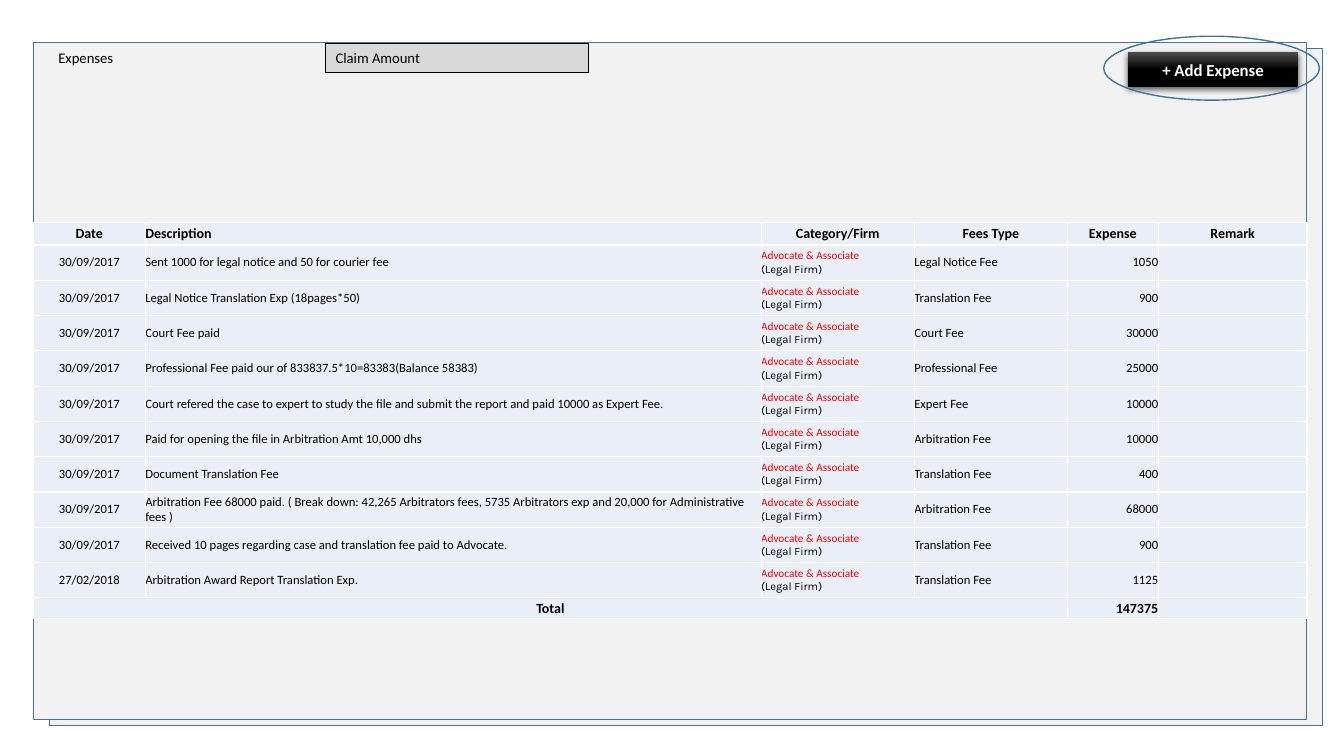
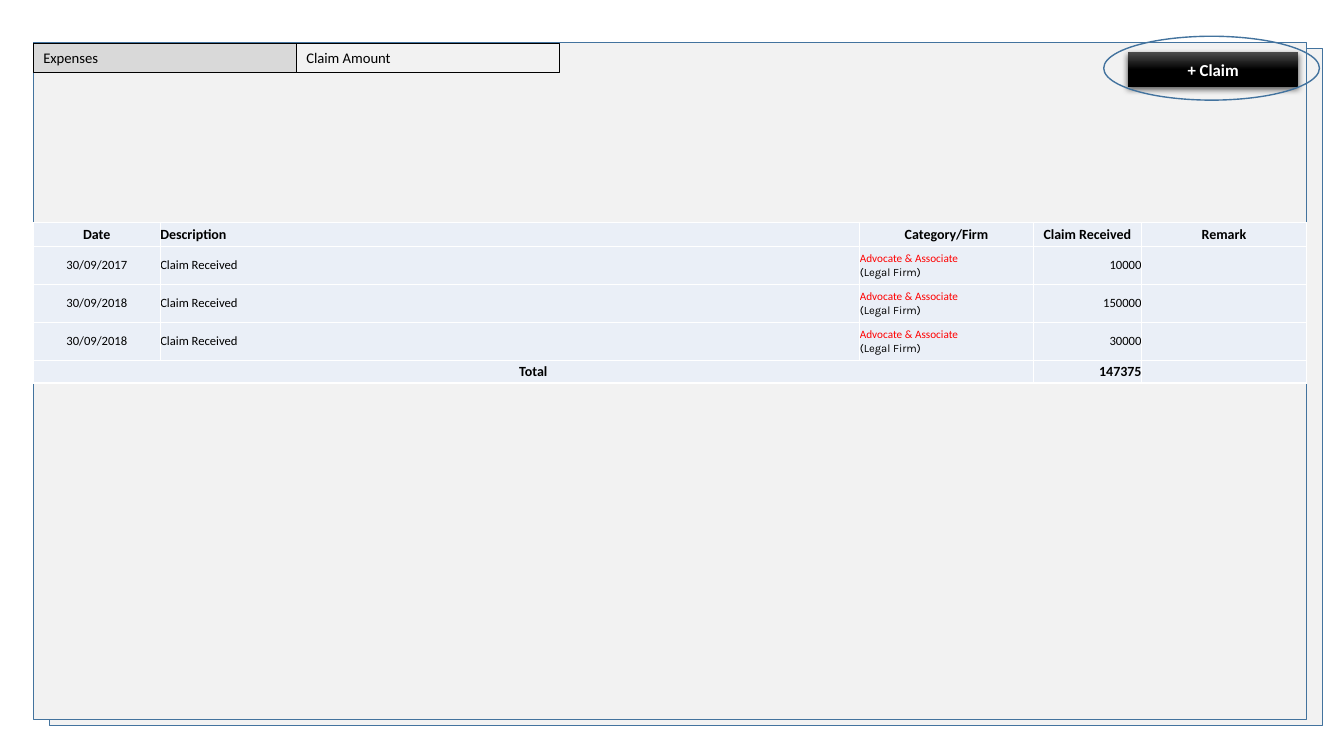
from dataclasses import dataclass

from lxml.etree import SubElement
from pptx import Presentation
from pptx.dml.color import RGBColor
from pptx.enum.shapes import MSO_SHAPE as Preset
from pptx.enum.text import MSO_ANCHOR as Anchor, PP_ALIGN as Align
from pptx.oxml import parse_xml
from pptx.oxml.ns import nsdecls, qn
from pptx.util import Pt

BLACK = RGBColor(0x00, 0x00, 0x00)
WHITE = RGBColor(0xFF, 0xFF, 0xFF)
RED = RGBColor(0xFF, 0x00, 0x00)
CHARCOAL = RGBColor(0x4B, 0x4B, 0x4B)
STEEL = RGBColor(0x43, 0x73, 0x9E)
PAPER = RGBColor(0xF2, 0xF2, 0xF2)
TAB_GREY = RGBColor(0xD9, 0xD9, 0xD9)
ICE = RGBColor(0xEA, 0xEF, 0xF7)


@dataclass
class Box:
    """A rectangle in points."""
    left: float
    top: float
    width: float
    height: float

    def inner(self, dx, dy, width, height):
        """Return a box offset from this one's corner."""
        return Box(self.left + dx, self.top + dy, width, height)

    def lengths(self):
        """Return the four lengths for a new shape."""
        return [Pt(n) for n in (self.left, self.top, self.width, self.height)]


PANEL = Box(23.8, 30.2, 909.4, 483.8)
TAB_WIDTH, TAB_HEIGHT = 187.9, 20.9
TABLE_DROP = 128.9

TAB_TEXT = {"name": "Calibri", "size": Pt(10.5), "bold": False}
HEAD_TEXT = {"name": "Calibri", "size": Pt(10), "bold": True}
BODY_TEXT = {"name": "Calibri", "size": Pt(9), "bold": False}
FIRM_TEXT = {"name": "Calibri", "size": Pt(8), "bold": False}
KIND_TEXT = {"name": "Karla", "size": Pt(8), "bold": False}
BUTTON_TEXT = {"name": "Calibri", "size": Pt(12), "bold": True}
CELL_FORMAT = {"vertical_anchor": Anchor.MIDDLE, "margin_left": 0,
               "margin_right": 0, "margin_top": 0, "margin_bottom": 0}

FIRM = [("Advocate & Associate", FIRM_TEXT, RED),
        ("(Legal Firm)", KIND_TEXT, BLACK)]
LEFT_COLUMNS = ("Description", "Category/Firm", "Fees Type")
AMOUNT_COLUMNS = ("Expense", "Claim Received")

EXPENSE_COLUMNS = {"Date": 80, "Description": 439.9, "Category/Firm": 109.4,
                   "Fees Type": 109.4, "Expense": 64.8, "Remark": 106.4}
EXPENSES = [
    ("30/09/2017", "Sent 1000 for legal notice and 50 for courier fee", "Legal Notice Fee", "1050"),
    ("30/09/2017", "Legal Notice Translation Exp (18pages*50)", "Translation Fee", "900"),
    ("30/09/2017", "Court Fee paid", "Court Fee", "30000"),
    ("30/09/2017", "Professional Fee paid our of 833837.5*10=83383(Balance 58383)",
     "Professional Fee", "25000"),
    ("30/09/2017", "Court refered the case to expert to study the file and submit the report "
     "and paid 10000 as Expert Fee.", "Expert Fee", "10000"),
    ("30/09/2017", "Paid for opening the file in Arbitration Amt 10,000 dhs",
     "Arbitration Fee", "10000"),
    ("30/09/2017", "Document Translation Fee", "Translation Fee", "400"),
    ("30/09/2017", "Arbitration Fee 68000 paid. ( Break down: 42,265 Arbitrators fees, 5735 "
     "Arbitrators exp and 20,000 for Administrative fees )", "Arbitration Fee", "68000"),
    ("30/09/2017", "Received 10 pages regarding case and translation fee paid to Advocate.",
     "Translation Fee", "900"),
    ("27/02/2018", "Arbitration Award Report Translation Exp.", "Translation Fee", "1125"),
]
CLAIM_COLUMNS = {"Date": 90.7, "Description": 499.7, "Category/Firm": 123.8,
                 "Claim Received": 77.4, "Remark": 117.8}
CLAIMS = [("30/09/2017", "Claim Received", "10000"),
          ("30/09/2018", "Claim Received", "150000"),
          ("30/09/2018", "Claim Received", "30000")]
TOTAL = "147375"


def apply(target, formats):
    """Set every format value on the target."""
    for attribute, value in formats.items():
        setattr(target, attribute, value)


def write(frame, lines, align):
    """Write one paragraph for each (text, format, colour) line."""
    for index, (text, formats, colour) in enumerate(lines):
        paragraph = frame.add_paragraph() if index else frame.paragraphs[0]
        paragraph.alignment = align
        if text:
            run = paragraph.add_run()
            run.text = text
            apply(run.font, formats)
            run.font.color.rgb = colour
        else:
            end = SubElement(paragraph._p, qn("a:endParaRPr"))
            end.set("sz", str(int(formats["size"].pt * 100)))


def add_outlined(slide, preset, box, fill, line, weight):
    """Add a flat shape with an optional fill and outline."""
    shape = slide.shapes.add_shape(preset, *box.lengths())
    shape.shadow.inherit = False
    for paint, colour in ((shape.fill, fill), (shape.line.fill, line)):
        if colour is None:
            paint.background()
        else:
            paint.solid()
            paint.fore_color.rgb = colour
    if line is not None:
        shape.line.width = Pt(weight)
    return shape


def add_panels(slide, box):
    """Draw the two stacked sheets behind the content."""
    for sheet in (box.inner(11.5, 4.4, box.width, box.height), box):
        add_outlined(slide, Preset.RECTANGLE, sheet, PAPER, STEEL, 1)


def add_tabs(slide, box, tabs):
    """Draw the tabs, given as (label, offset, fill, outline)."""
    for label, offset, fill, line in tabs:
        place = box.inner(offset, 0.8, TAB_WIDTH, TAB_HEIGHT)
        tab = add_outlined(slide, Preset.RECTANGLE, place, fill, line, 0.75)
        apply(tab.text_frame, {"word_wrap": True, "vertical_anchor": Anchor.TOP})
        write(tab.text_frame, [(label, TAB_TEXT, BLACK)], Align.LEFT)


def add_action(slide, box, label):
    """Draw the glossy button and the ring around it."""
    place = box.inner(781.9, 7.2, 121.7, 24.8)
    button = add_outlined(slide, Preset.RECTANGLE, place, BLACK, None, 0)
    button.fill.gradient()
    button.fill.gradient_angle = 270
    for stop, position, colour in zip(button.fill.gradient_stops, (0, 0.5), (CHARCOAL, BLACK)):
        stop.position = position
        stop.color.rgb = colour
    effects = button._element.spPr.find(qn("a:effectLst"))
    effects.append(parse_xml(
        f'<a:outerShdw {nsdecls("a")} blurRad="{Pt(4.5)}" dist="{Pt(1.5)}" dir="5400000" '
        f'rotWithShape="0"><a:srgbClr val="{BLACK}"><a:alpha val="63000"/></a:srgbClr>'
        '</a:outerShdw>'))
    button.text_frame.vertical_anchor = Anchor.MIDDLE
    write(button.text_frame, [(label, BUTTON_TEXT, WHITE)], Align.CENTER)
    add_outlined(slide, Preset.OVAL, box.inner(764.6, -4.3, 154.1, 45.6), None, STEEL, 1)


def format_cell(cell):
    """Give a cell its fill, margins and white borders."""
    apply(cell, CELL_FORMAT)
    cell.fill.solid()
    cell.fill.fore_color.rgb = ICE
    for index, side in enumerate("LRTB"):
        cell._tc.get_or_add_tcPr().insert(index, parse_xml(
            f'<a:ln{side} {nsdecls("a")} w="{Pt(1)}"><a:solidFill>'
            f'<a:srgbClr val="{WHITE}"/></a:solidFill></a:ln{side}>'))


def alignment(column, is_header):
    """Choose the alignment of a cell from its column."""
    if column == "Description" or (column in LEFT_COLUMNS and not is_header):
        return Align.LEFT
    if column in AMOUNT_COLUMNS and not is_header:
        return Align.RIGHT
    return Align.CENTER


def add_ledger(slide, box, columns, entries, heights):
    """Draw the table of entries with its header and total rows."""
    names = list(columns)
    amount = len(names) - 2
    body = [[[(text, BODY_TEXT, BLACK)] for text in entry] + [[("", BODY_TEXT, BLACK)]]
            for entry in entries]
    for row in body:
        row.insert(names.index("Category/Firm"), FIRM)
    total = ["Total"] + [""] * (amount - 1) + [TOTAL, ""]
    header, footer = ([[(text, HEAD_TEXT, BLACK)] for text in row] for row in (names, total))
    rows = [header, *body, footer]
    row_heights = [heights[0]] + [heights[1]] * len(body) + [heights[2]]

    place = box.inner(0, TABLE_DROP, sum(columns.values()), sum(row_heights))
    table = slide.shapes.add_table(len(rows), len(names), *place.lengths()).table
    apply(table, {"first_row": False, "horz_banding": False})
    for column, width in zip(table.columns, columns.values()):
        column.width = Pt(width)
    for r, (row, height) in enumerate(zip(rows, row_heights)):
        table.rows[r].height = Pt(height)
        for c, (name, lines) in enumerate(zip(names, row)):
            cell = table.cell(r, c)
            format_cell(cell)
            write(cell.text_frame, lines, alignment(name, r == 0))
    last = len(rows) - 1
    table.cell(last, 0).merge(table.cell(last, amount - 1))


def add_ledger_slide(deck, tabs, columns, entries, heights, action):
    """Build one slide: sheets, tabs, table and button."""
    slide = deck.slides.add_slide(deck.slide_layouts[6])
    add_panels(slide, PANEL)
    add_tabs(slide, PANEL, tabs)
    add_ledger(slide, PANEL, columns, entries, heights)
    add_action(slide, PANEL, action)


def main():
    """Build and save the two slides."""
    deck = Presentation()
    apply(deck, {"slide_width": Pt(960), "slide_height": Pt(540)})
    add_ledger_slide(
        deck,
        [("Expenses", 10.8, None, None), ("Claim Amount", 208.8, TAB_GREY, BLACK)],
        EXPENSE_COLUMNS, EXPENSES, (15.9, 25.2, 15), "+ Add Expense")
    add_ledger_slide(
        deck,
        [("Expenses", 0, TAB_GREY, BLACK), ("Claim Amount", TAB_WIDTH, PAPER, BLACK)],
        CLAIM_COLUMNS, CLAIMS, (17, 27.2, 16), "+ Claim")
    deck.save("out.pptx")


if __name__ == "__main__":
    main()
